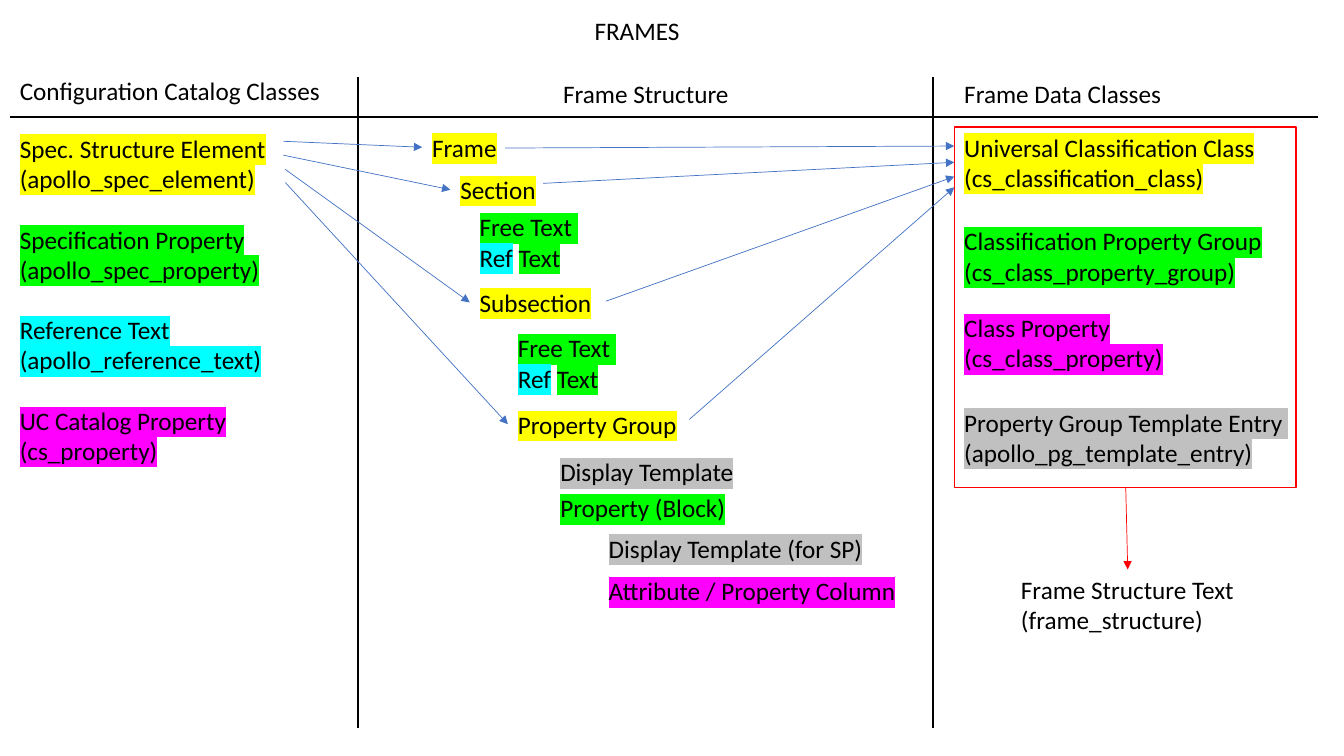
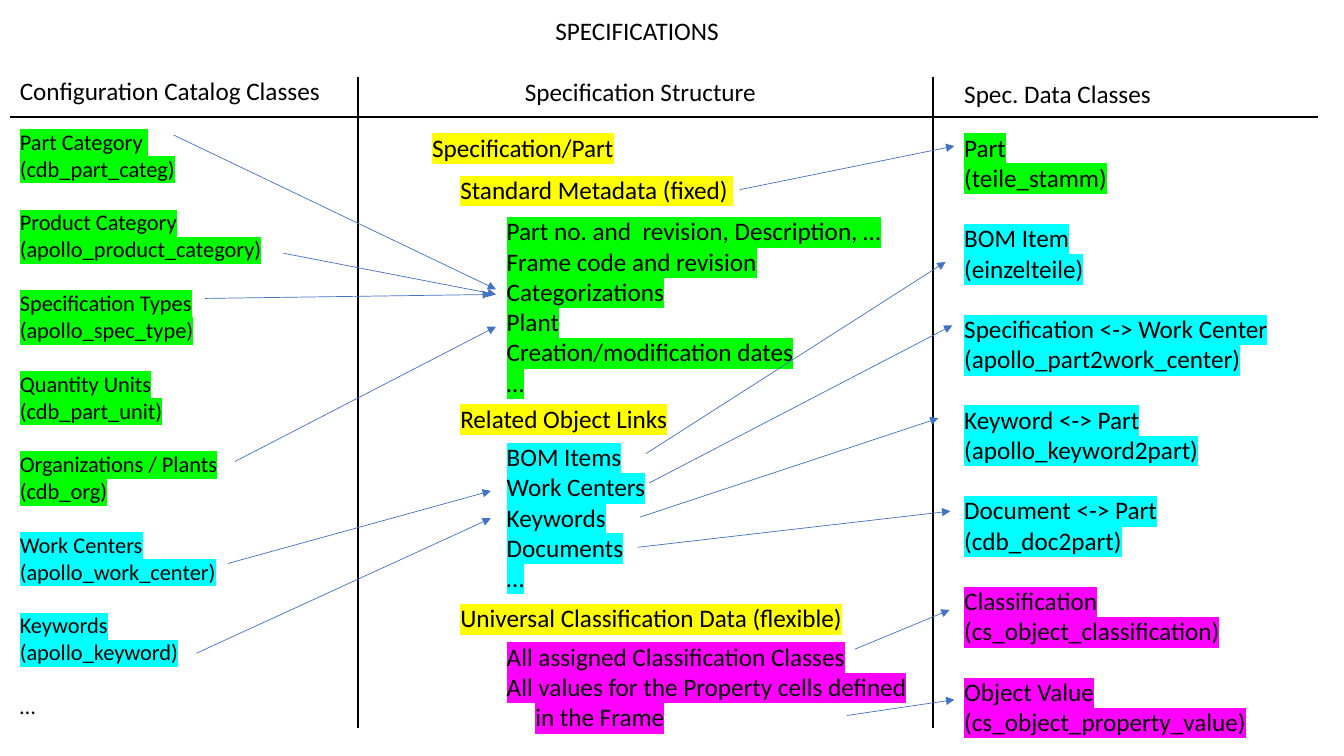
from dataclasses import dataclass

from lxml import etree
from pptx import Presentation
from pptx import util as u
from pptx.dml import color as c
from pptx.enum import shapes, text
from pptx.oxml import ns

COLORS = {
    "ink": "000000",
    "arrow": "4472C4",
    "red": "FF0000",
    "yellow": "FFFF00",
    "green": "00FF00",
    "cyan": "00FFFF",
    "magenta": "FF00FF",
    "grey": "C0C0C0",
}
FONT = "Calibri"
LINE_SPACING = 1.2
LEFT, RIGHT = 0.25, 24.05


@dataclass(frozen=True)
class Run:
    words: str
    mark: str = ""


@dataclass(frozen=True)
class Paragraph:
    runs: tuple[Run, ...]
    indent: float = 0


Entry = tuple[Paragraph, ...]


@dataclass(frozen=True)
class Label:
    left: float
    top: float
    width: float
    entries: tuple[Entry, ...]
    size: int = 18


@dataclass(frozen=True)
class Line:
    x1: float
    y1: float
    x2: float
    y2: float


@dataclass(frozen=True)
class Overview:
    title: str
    headings: tuple[Label, ...]
    labels: tuple[Label, ...]
    arrows: tuple[Line, ...]


def entry(mark: str, *lines: str) -> Entry:
    return tuple(Paragraph((Run(line, mark),)) for line in lines)


def single(left: float, top: float, width: float, mark: str, *lines: str) -> Label:
    return Label(left, top, width, (entry(mark, *lines),))


def rgb(name: str) -> c.RGBColor:
    return c.RGBColor.from_string(COLORS[name])


def add_run(paragraph, run: Run, size: int) -> None:
    piece = paragraph.add_run()
    piece.text = run.words
    piece.font.size = u.Pt(size)
    piece.font.color.rgb = rgb("ink")
    if run.mark:
        highlight = etree.SubElement(piece.font._element, ns.qn("a:highlight"))
        etree.SubElement(highlight, ns.qn("a:srgbClr"), val=COLORS[run.mark])
    piece.font.name = FONT


def add_text(slide, left: float, top: float, width: float, entries: tuple[Entry, ...],
             *, size: int = 18, align=text.PP_ALIGN.LEFT) -> None:
    line_height = u.Pt(size * LINE_SPACING)
    rows = sum(map(len, entries)) + len(entries) - 1
    box = slide.shapes.add_textbox(
        u.Cm(left), u.Cm(top), u.Cm(width), rows * line_height + u.Cm(0.25))
    frame = box.text_frame
    frame.word_wrap = True
    frame.auto_size = text.MSO_AUTO_SIZE.SHAPE_TO_FIT_TEXT
    for i, group in enumerate(entries):
        for j, content in enumerate(group):
            paragraph = frame.add_paragraph() if i or j else frame.paragraphs[0]
            paragraph.alignment = align
            if i and not j:
                paragraph.space_before = line_height
            if content.indent:
                paragraph._p.get_or_add_pPr().set("marL", str(u.Cm(content.indent)))
            for run in content.runs:
                add_run(paragraph, run, size)


def add_label(slide, label: Label) -> None:
    add_text(slide, label.left, label.top, label.width, label.entries, size=label.size)


def add_line(slide, line: Line, *, color: str = "arrow", weight: float = 0.5,
             arrow: bool = True) -> None:
    connector = slide.shapes.add_connector(
        shapes.MSO_CONNECTOR.STRAIGHT,
        u.Cm(line.x1), u.Cm(line.y1), u.Cm(line.x2), u.Cm(line.y2))
    connector.line.color.rgb = rgb(color)
    connector.line.width = u.Pt(weight)
    properties = connector._element.spPr
    if arrow:
        etree.SubElement(properties.get_or_add_ln(), ns.qn("a:tailEnd"), type="triangle")
    etree.SubElement(properties, ns.qn("a:effectLst"))


def add_overview(deck, overview: Overview):
    slide = deck.slides.add_slide(deck.slide_layouts[6])
    add_text(slide, 8.89, 0.25, 14.33, (entry("", overview.title),),
             align=text.PP_ALIGN.CENTER)
    for rule in RULES:
        add_line(slide, rule, color="ink", weight=1.5, arrow=False)
    for label in (CATALOG_HEADING, *overview.headings, *overview.labels):
        add_label(slide, label)
    for arrow in overview.arrows:
        add_line(slide, arrow)
    return slide


def add_frame_result(slide) -> None:
    outline = slide.shapes.add_shape(
        shapes.MSO_SHAPE.RECTANGLE, u.Cm(RIGHT), u.Cm(3.2), u.Cm(8.61), u.Cm(9.09))
    outline.shadow.inherit = False
    outline.fill.background()
    outline.line.color.rgb = rgb("red")
    outline.line.width = u.Pt(1)
    add_line(slide, Line(28.37, 12.29, 28.42, 14.35), color="red")
    add_label(slide, single(25.48, 14.35, 5.89, "", "Frame Structure Text",
                            "(frame_structure)"))


RULES = (
    Line(9.02, 1.93, 9.02, 18.34),
    Line(23.52, 1.93, 23.52, 18.34),
    Line(LEFT, 2.95, 33.22, 2.95),
)
CATALOG_HEADING = single(LEFT, 1.78, 8.23, "", "Configuration Catalog Classes")

FREE_TEXT: Entry = (
    Paragraph((Run("Free Text ", "green"),)),
    Paragraph((Run("Ref", "cyan"), Run(" "), Run("Text", "green"))),
)

FRAMES = Overview(
    "FRAMES",
    (
        single(13.94, 1.85, 10.11, "", "Frame Structure"),
        single(RIGHT, 1.85, 9.04, "", "Frame Data Classes"),
    ),
    (
        Label(LEFT, 3.23, 9.8, (
            entry("yellow", "Spec. Structure Element", "(apollo_spec_element)"),
            entry("green", "Specification Property", "(apollo_spec_property)"),
            entry("cyan", "Reference Text", "(apollo_reference_text)"),
            entry("magenta", "UC Catalog Property", "(cs_property)"),
        )),
        single(10.64, 3.2, 2.5, "yellow", "Frame"),
        single(11.35, 4.27, 3.73, "yellow", "Section"),
        Label(11.84, 5.21, 6.48, (FREE_TEXT,)),
        single(11.84, 7.11, 3.73, "yellow", "Subsection"),
        Label(12.8, 8.26, 6.48, (FREE_TEXT,)),
        single(12.8, 10.19, 4.93, "yellow", "Property Group"),
        single(13.87, 11.38, 5.41, "grey", "Display Template"),
        single(13.87, 12.29, 4.93, "green", "Property (Block)"),
        single(15.09, 13.31, 7.44, "grey", "Display Template (for SP)"),
        single(15.09, 14.38, 8.43, "magenta", "Attribute / Property Column"),
        single(RIGHT, 3.2, 9.8, "yellow", "Universal Classification Class",
               "(cs_classification_class)"),
        single(RIGHT, 5.56, 9.8, "green", "Classification Property Group",
               "(cs_class_property_group)"),
        single(RIGHT, 7.75, 9.8, "magenta", "Class Property", "(cs_class_property)"),
        single(RIGHT, 10.13, 9.8, "grey", "Property Group Template Entry ",
               "(apollo_pg_template_entry)"),
    ),
    (
        Line(7.14, 3.56, 10.64, 3.71),
        Line(7.14, 3.91, 11.35, 4.78),
        Line(7.19, 4.27, 11.84, 7.62),
        Line(7.19, 4.6, 12.8, 10.69),
        Line(12.73, 3.73, RIGHT, 3.68),
        Line(13.69, 4.62, RIGHT, 4.09),
        Line(15.27, 7.59, RIGHT, 4.45),
        Line(17.37, 10.57, RIGHT, 4.72),
    ),
)

SPECIFICATIONS = Overview(
    "SPECIFICATIONS",
    (
        single(12.98, 1.8, 10.11, "", "Specification Structure"),
        single(RIGHT, 1.85, 9.04, "", "Spec. Data Classes"),
    ),
    (
        Label(LEFT, 3.1, 9.8, (
            entry("green", "Part Category ", "(cdb_part_categ)"),
            entry("green", "Product Category", "(apollo_product_category)"),
            entry("green", "Specification Types", "(apollo_spec_type)"),
            entry("green", "Quantity Units", "(cdb_part_unit)"),
            entry("green", "Organizations / Plants", "(cdb_org)"),
            entry("cyan", "Work Centers", "(apollo_work_center)"),
            entry("cyan", "Keywords", "(apollo_keyword)"),
            entry("", "…"),
        ), 16),
        single(10.64, 3.2, 5.5, "yellow", "Specification/Part"),
        single(11.35, 4.27, 10.21, "yellow", "Standard Metadata (fixed) "),
        single(12.52, 5.31, 10.59, "green", "Part no. and  revision, Description, …",
               "Frame code and revision", "Categorizations", "Plant",
               "Creation/modification dates", "…"),
        single(11.35, 10.03, 10.21, "yellow", "Related Object Links"),
        single(12.52, 11, 10.59, "cyan", "BOM Items", "Work Centers", "Keywords",
               "Documents", "…"),
        single(11.35, 15.06, 10.5, "yellow", "Universal Classification Data (flexible)"),
        Label(12.52, 16.03, 10.8, ((
            *entry("magenta", "All assigned Classification Classes",
                   "All values for the Property cells defined"),
            Paragraph((Run("in the Frame", "magenta"),), indent=0.72),
        ),)),
        Label(RIGHT, 3.2, 9.8, (
            entry("green", "Part", "(teile_stamm)"),
            entry("cyan", "BOM Item", "(einzelteile)"),
            entry("cyan", "Specification <-> Work Center", "(apollo_part2work_center)"),
            entry("cyan", "Keyword <-> Part", "(apollo_keyword2part)"),
            entry("cyan", "Document <-> Part", "(cdb_doc2part)"),
            entry("magenta", "Classification", "(cs_object_classification)"),
            entry("magenta", "Object Value", "(cs_object_property_value)"),
        )),
    ),
    (
        Line(4.37, 3.4, 12.5, 7.29),
        Line(7.14, 6.38, 12.5, 7.42),
        Line(5.16, 7.52, 12.37, 7.42),
        Line(5.92, 11.63, 12.5, 8.23),
        Line(5.74, 14.2, 12.37, 12.37),
        Line(4.95, 16.46, 12.37, 13.06),
        Line(18.64, 4.78, RIGHT, 3.68),
        Line(16.28, 11.43, 23.83, 6.6),
        Line(16.36, 12.17, 24, 8.2),
        Line(16.13, 13.03, 23.65, 10.54),
        Line(16.08, 13.79, 23.95, 12.88),
        Line(21.54, 16.36, 23.93, 15.37),
        Line(21.34, 18.03, RIGHT, 17.63),
    ),
)


def main() -> None:
    deck = Presentation()
    deck.slide_width, deck.slide_height = u.Cm(33.87), u.Cm(19.05)
    add_frame_result(add_overview(deck, FRAMES))
    add_overview(deck, SPECIFICATIONS)
    deck.save("out.pptx")


if __name__ == "__main__":
    main()
